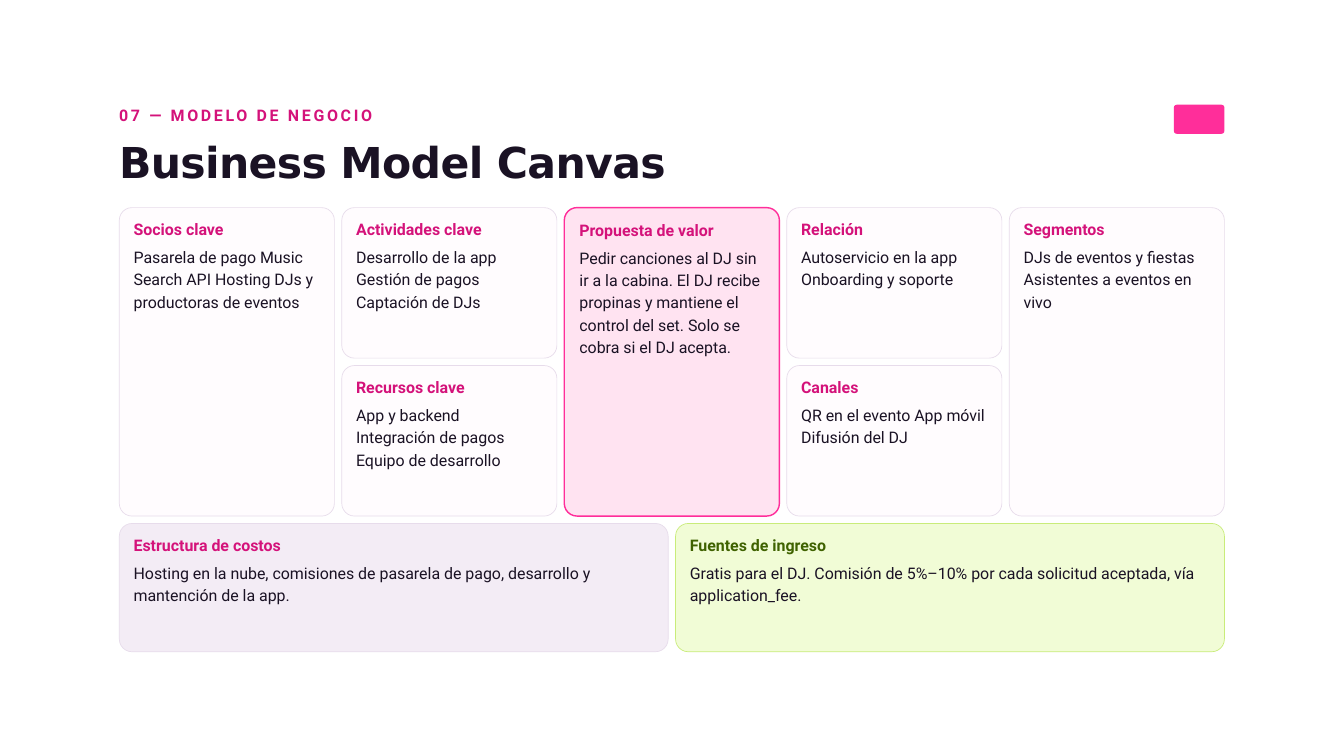
"""Build a business model canvas slide."""
from pptx import Presentation
from pptx.dml.color import RGBColor
from pptx.enum.shapes import MSO_SHAPE as Shape
from pptx.enum.text import MSO_ANCHOR as Anchor, PP_ALIGN as Align
from pptx.util import Cm, Pt

PINK, MAGENTA, INK = "FF2E9A", "D4127A", "1A1224"
PLAIN = {"fill": "FFFCFE", "line": "E7DCEB", "border": 0.75, "accent": MAGENTA}
VALUE = PLAIN | {"fill": "FFE3F1", "line": PINK, "border": 1.5}
COSTS = PLAIN | {"fill": "F3ECF5"}
INCOME = PLAIN | {"fill": "F1FCD6", "line": "C9EC7A", "accent": "3F6200"}

KICKER = "07 — MODELO DE NEGOCIO"
TITLE = "Business Model Canvas"
# column, row, columns spanned, rows spanned, heading, body, style
CARDS = [
    (0, 0, 1, 2, "Socios clave",
     "Pasarela de pago Music Search API Hosting DJs y productoras de eventos", PLAIN),
    (1, 0, 1, 1, "Actividades clave",
     "Desarrollo de la app Gestión de pagos Captación de DJs", PLAIN),
    (2, 0, 1, 2, "Propuesta de valor",
     "Pedir canciones al DJ sin ir a la cabina. El DJ recibe propinas y mantiene "
     "el control del set. Solo se cobra si el DJ acepta.", VALUE),
    (3, 0, 1, 1, "Relación", "Autoservicio en la app Onboarding y soporte", PLAIN),
    (4, 0, 1, 2, "Segmentos",
     "DJs de eventos y fiestas Asistentes a eventos en vivo", PLAIN),
    (1, 1, 1, 1, "Recursos clave",
     "App y backend Integración de pagos Equipo de desarrollo", PLAIN),
    (3, 1, 1, 1, "Canales", "QR en el evento App móvil Difusión del DJ", PLAIN),
    (0, 2, 2.5, None, "Estructura de costos",
     "Hosting en la nube, comisiones de pasarela de pago, desarrollo y "
     "mantención de la app.", COSTS),
    (2.5, 2, 2.5, None, "Fuentes de ingreso",
     "Gratis para el DJ. Comisión de 5%–10% por cada solicitud aceptada, "
     "vía application_fee.", INCOME),
]

LEFT, TOP, GAP = 4.51, 7.85, 0.28
COLUMN, ROW = 8.41, 5.97
BOTTOM_HEIGHT, RADIUS = 4.85, 0.48
CORNER_INSET = RADIUS * 0.29


def color(code):
    """Return the colour for a hex string."""
    return RGBColor.from_string(code)


def write(para, text, *, size=17.1, font="Roboto", ink=INK, bold=False,
          leading=23.9, before=0, tracking=0):
    """Write formatted text into a paragraph."""
    para.alignment = Align.LEFT
    para.line_spacing = Pt(leading)
    para.space_before = Pt(before)
    span = para.add_run()
    span.text = text
    span.font.size = Pt(size)
    span.font.name = font
    span.font.bold = bold
    span.font.color.rgb = color(ink)
    if tracking:
        span._r.get_or_add_rPr().set("spc", str(round(tracking * 100)))


def set_frame(box, side=0, top=0):
    """Wrap the text of a box from its top and return the frame."""
    frame = box.text_frame
    frame.word_wrap = True
    frame.vertical_anchor = Anchor.TOP
    frame.margin_left = frame.margin_right = Cm(side)
    frame.margin_top = frame.margin_bottom = Cm(top)
    return frame


def add_line(page, text, top, height, **style):
    """Add a line of heading text above the canvas."""
    box = page.shapes.add_textbox(Cm(4.5), Cm(top), Cm(41.83), Cm(height))
    write(set_frame(box).paragraphs[0], text, bold=True, **style)


def add_round(page, left, top, width, height, radius, fill):
    """Add a filled rounded rectangle without a line."""
    box = page.shapes.add_shape(
        Shape.ROUNDED_RECTANGLE, Cm(left), Cm(top), Cm(width), Cm(height))
    box.adjustments[0] = radius / min(width, height)
    box.shadow.inherit = False
    box.fill.solid()
    box.fill.fore_color.rgb = color(fill)
    box.line.fill.background()
    return box


def add_card(page, column, row, columns, rows, heading, body, style):
    """Add one block of the canvas with its heading and body."""
    height = rows * ROW - GAP if rows else BOTTOM_HEIGHT
    box = add_round(page, LEFT + column * COLUMN, TOP + row * ROW,
                    columns * COLUMN - GAP, height, RADIUS, style["fill"])
    box.line.color.rgb = color(style["line"])
    box.line.width = Pt(style["border"])
    edge = 0.04 * style["border"] - CORNER_INSET
    frame = set_frame(box, side=0.51 + edge, top=0.31 + edge)
    write(frame.paragraphs[0], heading, ink=style["accent"], bold=True)
    write(frame.add_paragraph(), body, before=5.9)


def main():
    """Build and save the deck."""
    deck = Presentation()
    deck.slide_width, deck.slide_height = Cm(50.8), Cm(28.58)
    page = deck.slides.add_slide(deck.slide_layouts[6])
    add_line(page, KICKER, 3.86, 0.94, ink=MAGENTA, tracking=2.9)
    add_line(page, TITLE, 5.23, 1.8, size=45.6, font="DejaVu Sans",
             leading=52.4, tracking=-0.7)
    for card in CARDS:
        add_card(page, *card)
    add_round(page, 44.37, 3.96, 1.91, 1.1, 0.11, PINK)
    deck.save("out.pptx")


if __name__ == "__main__":
    main()
